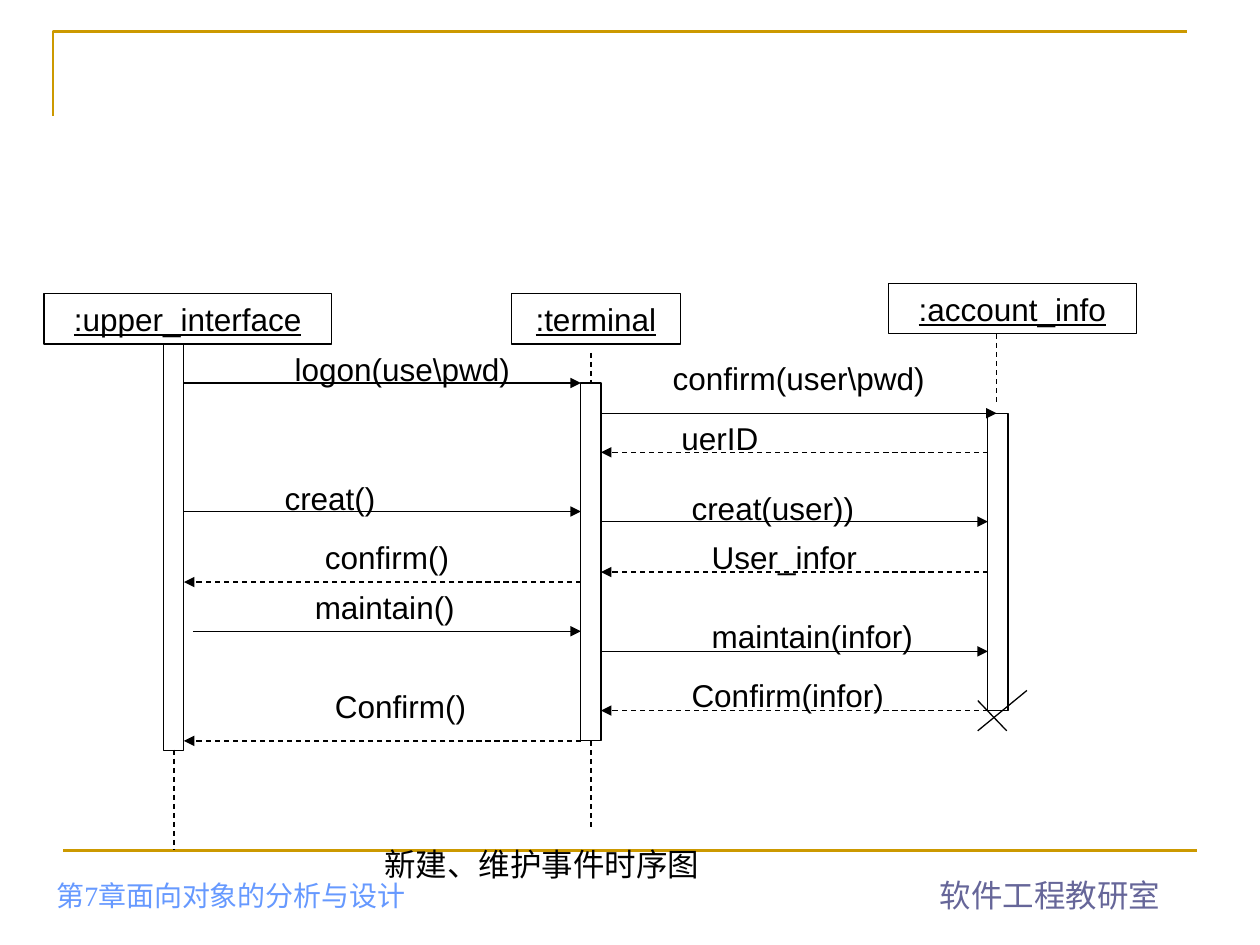
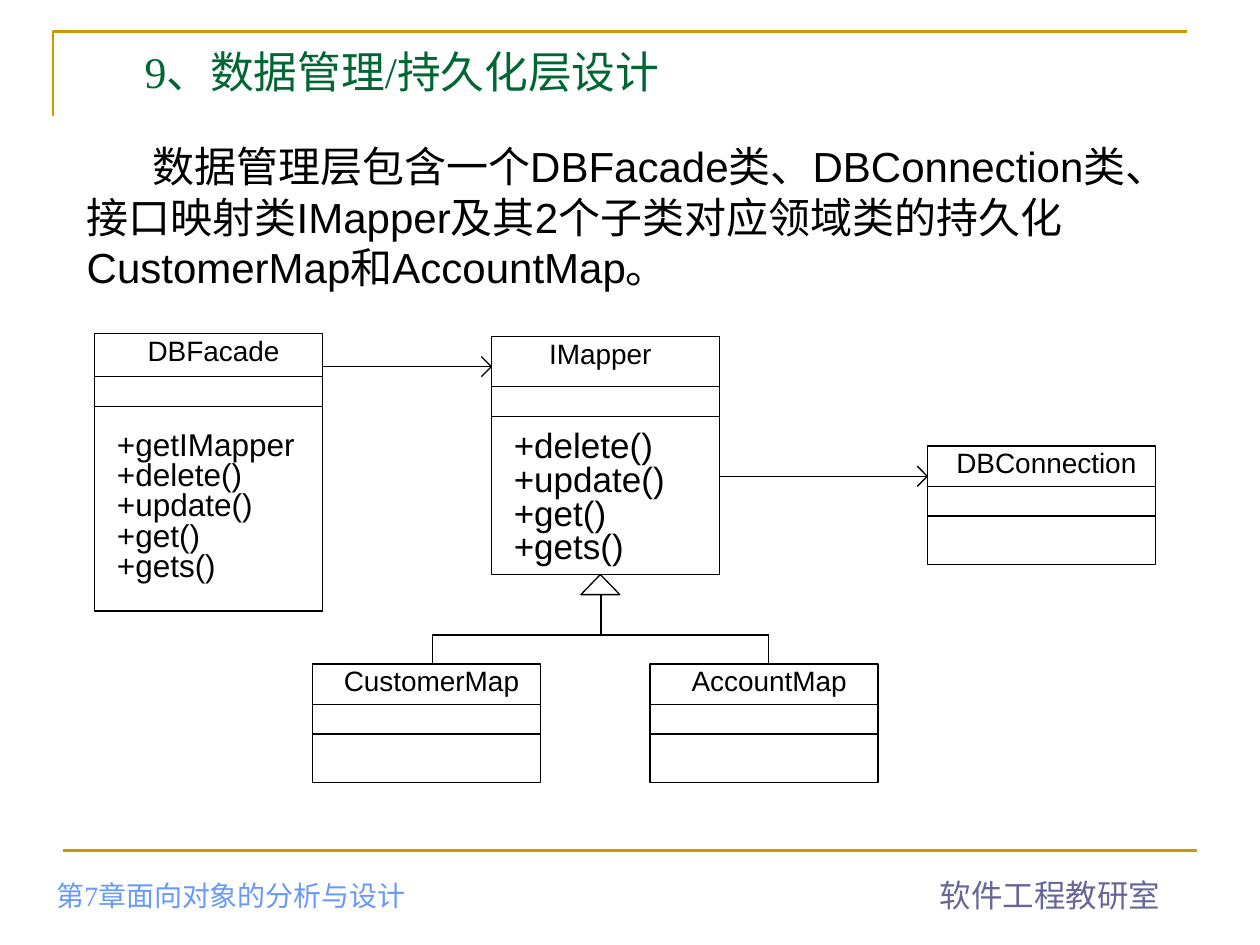
from dataclasses import dataclass

from lxml import etree
from pptx import Presentation
from pptx import util as u
from pptx.dml.color import RGBColor
from pptx.enum import dml, shapes, text
from pptx.oxml.ns import qn

BLACK, GOLD, GREEN = "000000", "CC9900", "006633"
PURPLE, BLUE = "666699", "6699FF"
SANS, SERIF = "Arial", "Times New Roman"


@dataclass
class Participant:
    name: str
    left: float
    top: float
    width: float


@dataclass
class Activation:
    left: float
    top: float
    height: float


@dataclass
class Message:
    label: str
    label_left: float
    label_top: float
    label_width: float
    start: float
    end: float
    y: float
    reply: bool = False


@dataclass
class ClassBox:
    name: str
    left: float
    top: float
    height: float
    name_offset: float = 0.08
    name_height: float = 0.32
    methods: tuple[str, ...] = ()
    method_size: float = 18


def colour(value: str) -> RGBColor:
    return RGBColor.from_string(value)


def set_line(sp, value: str = BLACK, width: float = 0.75) -> None:
    sp.line.color.rgb = colour(value)
    sp.line.width = u.Pt(width)


def add_line(s, x1: float, y1: float, x2: float, y2: float, value: str = BLACK,
             width: float = 0.75, dashed: bool = False, arrow: bool = False):
    sp = s.shapes.add_connector(shapes.MSO_CONNECTOR.STRAIGHT, u.Inches(x1),
                                u.Inches(y1), u.Inches(x2), u.Inches(y2))
    set_line(sp, value, width)
    if dashed:
        sp.line.dash_style = dml.MSO_LINE.DASH
    if arrow:
        ln = sp.line._get_or_add_ln()
        etree.SubElement(ln, qn("a:tailEnd"), type="triangle")
    etree.SubElement(sp._element.spPr, qn("a:effectLst"))
    return sp


def add_outline(s, left: float, top: float, width: float, height: float,
                kind=shapes.MSO_SHAPE.RECTANGLE):
    sp = s.shapes.add_shape(kind, u.Inches(left), u.Inches(top),
                            u.Inches(width), u.Inches(height))
    sp.shadow.inherit = False
    sp.fill.background()
    set_line(sp)
    return sp


def write(sp, lines: tuple[str, ...], size: float = 18, font: str = SANS,
          value: str = BLACK, align=text.PP_ALIGN.LEFT, spacing: float = 1,
          underline: bool = False, wrap: bool = True,
          anchor=text.MSO_ANCHOR.TOP) -> None:
    tf = sp.text_frame
    tf.word_wrap = wrap
    tf.vertical_anchor = anchor
    for i, line in enumerate(lines):
        p = tf.add_paragraph() if i else tf.paragraphs[0]
        p.alignment = align
        p.line_spacing = spacing
        r = p.add_run()
        r.text = line
        r.font.size = u.Pt(size)
        r.font.name = font
        r.font.color.rgb = colour(value)
        if underline:
            r.font.underline = True


def add_text(s, left: float, top: float, width: float, height: float,
             *lines: str, **style):
    sp = s.shapes.add_textbox(u.Inches(left), u.Inches(top),
                              u.Inches(width), u.Inches(height))
    write(sp, lines, **style)
    return sp


def add_framed_slide(prs):
    """Blank slide with the gold corner, bottom rule and footers."""
    s = prs.slides.add_slide(prs.slide_layouts[6])
    corner = s.shapes.build_freeform(u.Inches(0.42), u.Inches(0.92))
    corner.add_line_segments([(u.Inches(0.42), u.Inches(0.25)),
                              (u.Inches(9.42), u.Inches(0.25))], close=False)
    sp = corner.convert_to_shape()
    sp.shadow.inherit = False
    sp.fill.background()
    set_line(sp, GOLD, 1.5)
    add_line(s, 0.5, 6.75, 9.5, 6.75, GOLD, 1.5)
    add_text(s, 7.36, 6.9, 1.95, 0.4, "软件工程教研室", value=PURPLE, wrap=False)
    add_text(s, 0.35, 6.98, 4.1, 0.31, "第7章面向对象的分析与设计", size=16,
             font=SERIF, value=BLUE, anchor=text.MSO_ANCHOR.BOTTOM)
    return s


# Sequence diagram: edges of the three activation bars
BAR = 0.16
UI, TERMINAL, ACCOUNT = 1.3, 4.61, 7.84
UI_EDGE, TERMINAL_EDGE = UI + BAR, TERMINAL + BAR

PARTICIPANTS = [
    Participant(":upper_interface", 0.35, 2.33, 2.28),
    Participant(":terminal", 4.06, 2.33, 1.34),
    Participant(":account_info", 7.05, 2.25, 1.97),
]
ACTIVATIONS = [
    Activation(UI, 2.73, 3.23),
    Activation(TERMINAL, 3.04, 2.84),
    Activation(ACCOUNT, 3.28, 2.36),
]
LIFELINES = [(1.38, 5.95, 6.74), (4.69, 2.8, 3.04), (4.69, 5.88, 6.59),
             (7.91, 2.65, 3.2)]
MESSAGES = [
    Message("logon(use\\pwd)", 2.24, 2.73, 1.97, UI_EDGE, TERMINAL, 3.04),
    Message("confirm(user\\pwd)", 5.24, 2.8, 2.52, TERMINAL_EDGE, 7.91, 3.28),
    Message("uerID", 5.31, 3.28, 2.05, ACCOUNT, TERMINAL_EDGE, 3.59, True),
    Message("creat()", 2.16, 3.75, 1.89, UI_EDGE, TERMINAL, 4.06),
    Message("creat(user))", 5.39, 3.83, 2.05, TERMINAL_EDGE, ACCOUNT, 4.14),
    Message("User_infor", 5.55, 4.22, 1.57, ACCOUNT, TERMINAL_EDGE, 4.54, True),
    Message("confirm()", 2.48, 4.22, 1.58, TERMINAL, UI_EDGE, 4.62, True),
    Message("maintain()", 2.4, 4.62, 1.42, 1.53, TERMINAL, 5.01),
    Message("maintain(infor)", 5.55, 4.85, 2.13, TERMINAL_EDGE, ACCOUNT, 5.17),
    Message("Confirm(infor)", 5.39, 5.32, 2.2, ACCOUNT, TERMINAL_EDGE, 5.64, True),
    Message("Confirm()", 2.56, 5.4, 1.34, TERMINAL, UI_EDGE, 5.88, True),
]


def sequence_slide(prs) -> None:
    s = add_framed_slide(prs)
    for item in PARTICIPANTS:
        sp = add_outline(s, item.left, item.top, item.width, 0.4)
        write(sp, (item.name,), align=text.PP_ALIGN.CENTER, underline=True)
    for x, top, bottom in LIFELINES:
        add_line(s, x, top, x, bottom, dashed=True)
    for bar in ACTIVATIONS:
        add_outline(s, bar.left, bar.top, BAR, bar.height)
    for m in MESSAGES:
        add_line(s, m.start, m.y, m.end, m.y, dashed=m.reply, arrow=True)
        add_text(s, m.label_left, m.label_top, m.label_width, 0.4, m.label)
    # Cross that ends the account object
    add_line(s, 8.15, 5.48, 7.76, 5.8)
    add_line(s, 7.76, 5.56, 7.99, 5.8)
    add_text(s, 2.95, 6.66, 4.17, 0.4, "新建、维护事件时序图")


# Class diagram
CLASS_WIDTH, ATTRIBUTES_HEIGHT = 1.81, 0.235
CRUD = ("+delete()", "+update()", "+get()", "+gets()")
CLASSES = [
    ClassBox("DBFacade", 0.75, 2.65, 2.2, name_height=0.34,
             methods=("+getIMapper",) + CRUD),
    ClassBox("IMapper", 3.9, 2.67, 1.89, name_offset=0, name_height=0.4,
             methods=CRUD, method_size=20),
    ClassBox("DBConnection", 7.36, 3.54, 0.94),
    ClassBox("CustomerMap", 2.48, 5.27, 0.94),
    ClassBox("AccountMap", 5.16, 5.27, 0.94),
]


def add_class(s, c: ClassBox) -> None:
    add_outline(s, c.left, c.top, CLASS_WIDTH, c.height)
    divider = c.top + c.name_height
    for y in (divider, divider + ATTRIBUTES_HEIGHT):
        add_line(s, c.left, y, c.left + CLASS_WIDTH, y)
    add_text(s, c.left + c.name_offset, c.top, 1.73, 0.32, c.name, size=16,
             align=text.PP_ALIGN.CENTER, spacing=0.8)
    if c.methods:
        add_text(s, c.left + 0.08, 3.38, 1.73, 1.2, *c.methods,
                 size=c.method_size, spacing=0.8)


def add_association(s, start: float, end: float, y: float) -> None:
    add_line(s, start, y, end, y)
    for wing in (-0.08, 0.08):
        add_line(s, end, y, end - 0.08, y + wing)


def class_slide(prs) -> None:
    s = add_framed_slide(prs)
    add_text(s, 1.05, 0.31, 4.8, 0.79, "9、数据管理/持久化层设计", size=25,
             font=SERIF, value=GREEN)
    body = add_text(
        s, 0.59, 1.07, 8.9, 1.3,
        "数据管理层包含一个DBFacade类、DBConnection类、接口映射类IMapper"
        "及其2个子类对应领域类的持久化CustomerMap和AccountMap。", size=24)
    pPr = body.text_frame.paragraphs[0]._p.get_or_add_pPr()
    pPr.set("indent", str(u.Inches(0.52)))
    for c in CLASSES:
        add_class(s, c)
    add_association(s, 2.56, 3.9, 2.91)
    add_association(s, 5.71, 7.36, 3.78)
    # Inheritance tree under IMapper
    add_outline(s, 4.61, 4.56, 0.31, 0.16, shapes.MSO_SHAPE.ISOSCELES_TRIANGLE)
    add_line(s, 4.77, 4.72, 4.77, 5.04)
    add_line(s, 3.43, 5.04, 6.1, 5.04)
    for x in (3.43, 6.1):
        add_line(s, x, 5.04, x, 5.27)


def main() -> None:
    prs = Presentation()
    prs.slide_width, prs.slide_height = u.Inches(10), u.Inches(7.5)
    sequence_slide(prs)
    class_slide(prs)
    prs.save("out.pptx")


if __name__ == "__main__":
    main()
